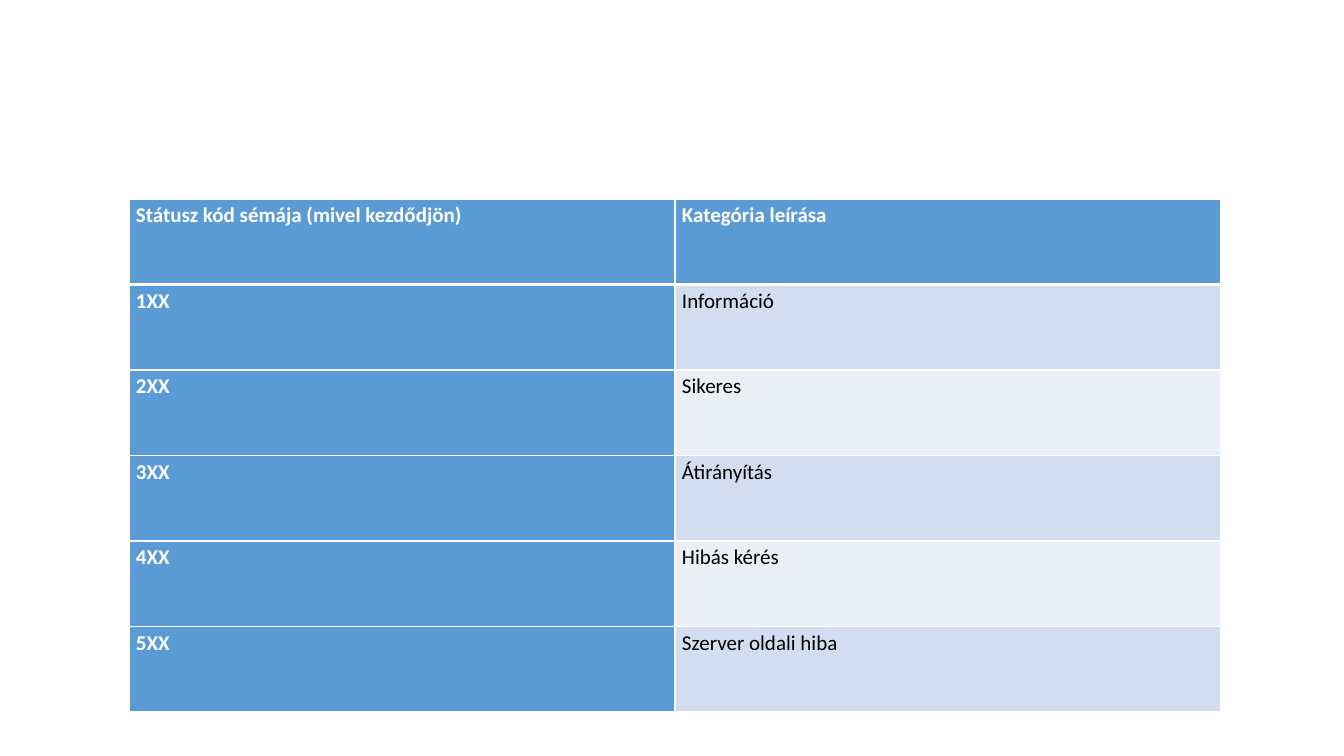
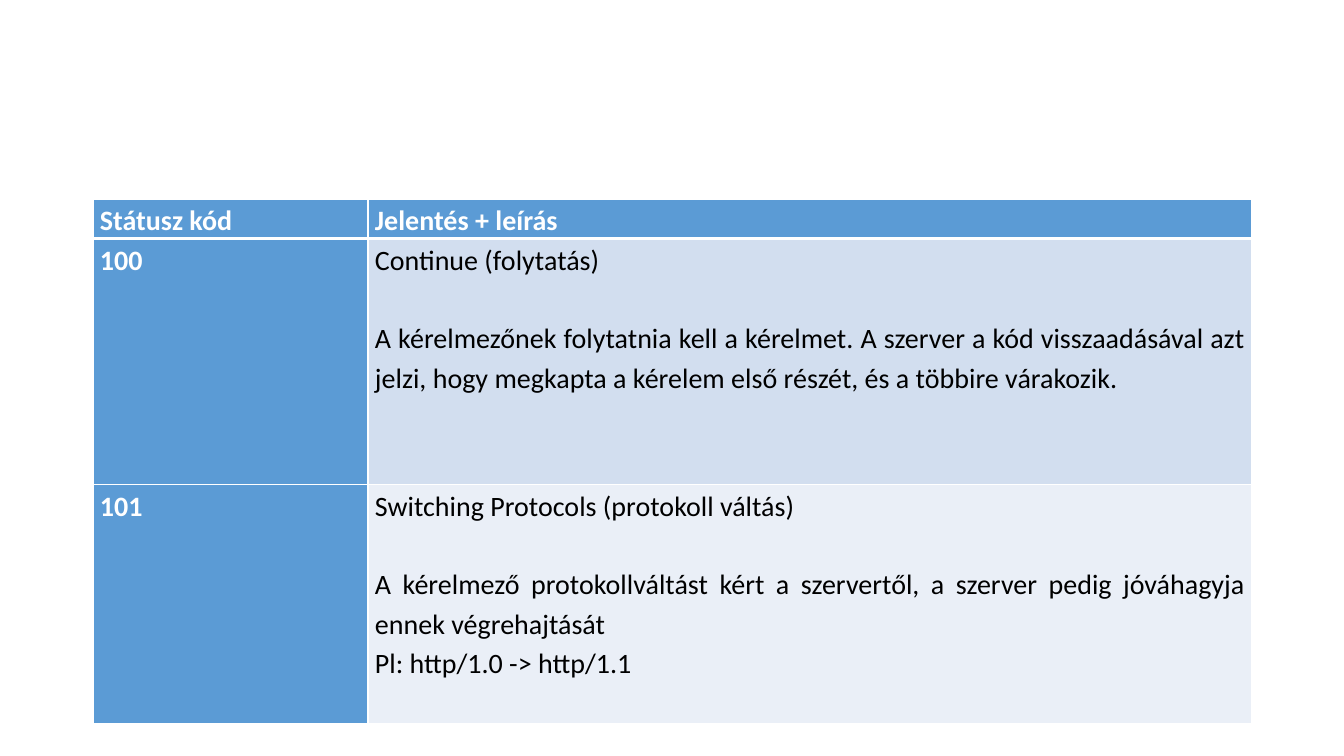
import pptx
import pptx.dml.color
import pptx.enum.text
import pptx.oxml
import pptx.oxml.ns
import pptx.util

PX = 914400 / 100.8
SLIDE_WIDTH, SLIDE_HEIGHT = 1344, 756
FONT = "Calibri"
COLORS = {
    "accent": "5B9BD5",
    "band_dark": "D2DEEF",
    "band_light": "EAEFF7",
    "on_accent": "FFFFFF",
    "body": "000000",
    "rule": "FFFFFF",
}


def px(length):
    return pptx.util.Emu(round(length * PX))


def rgb(name):
    return pptx.dml.color.RGBColor.from_string(COLORS[name])


def write_text(frame, text, size, color, bold=False, heading_gap=0):
    frame.word_wrap = True
    for index, line in enumerate(text.split("\n")):
        paragraph = frame.paragraphs[0] if index == 0 else frame.add_paragraph()
        paragraph.alignment = pptx.enum.text.PP_ALIGN.JUSTIFY
        paragraph.line_spacing = 1.15
        paragraph.space_after = pptx.util.Pt(heading_gap if index == 0 else 0)
        run = paragraph.add_run()
        run.text = line
        run.font.name = FONT
        run.font.size = pptx.util.Pt(size)
        run.font.bold = bold
        run.font.color.rgb = rgb(color)


def set_borders(cell, **widths):
    properties = cell._tc.get_or_add_tcPr()
    for side in "LRTB":
        width = pptx.util.Pt(widths.get(side, 1))
        properties.append(pptx.oxml.parse_xml(
            f'<a:ln{side} {pptx.oxml.ns.nsdecls("a")} w="{width}"><a:solidFill>'
            f'<a:srgbClr val="{COLORS["rule"]}"/></a:solidFill></a:ln{side}>'
        ))


def format_cell(cell, row, column, text, size, heading_gap):
    emphasized = row == 0 or column == 0
    cell.margin_left = cell.margin_right = px(7)
    cell.margin_top = cell.margin_bottom = 0
    set_borders(cell, B=3 if row == 0 else 1, T=3 if row == 1 else 1)
    cell.fill.solid()
    band = "band_dark" if row % 2 else "band_light"
    cell.fill.fore_color.rgb = rgb("accent" if emphasized else band)
    write_text(
        cell.text_frame, text, size,
        color="on_accent" if emphasized else "body",
        bold=emphasized,
        heading_gap=heading_gap if "\n" in text else 0,
    )


def status_table(presentation, left, top, widths, heights, entries, size, heading_gap=0):
    slide = presentation.slides.add_slide(presentation.slide_layouts[6])
    table = slide.shapes.add_table(
        len(heights), len(widths),
        px(left), px(top), px(sum(widths)), px(sum(heights)),
    ).table
    for column, width in zip(table.columns, widths):
        column.width = px(width)
    for row, height in zip(table.rows, heights):
        row.height = px(height)
    for row, entry in enumerate(entries):
        for column, text in enumerate(entry):
            format_cell(table.cell(row, column), row, column, text, size, heading_gap)


CATEGORIES = [
    ("Státusz kód sémája (mivel kezdődjön)", "Kategória leírása"),
    ("1XX", "Információ"),
    ("2XX", "Sikeres"),
    ("3XX", "Átirányítás"),
    ("4XX", "Hibás kérés"),
    ("5XX", "Szerver oldali hiba"),
]
INFORMATION_CODES = [
    ("Státusz kód", "Jelentés + leírás"),
    ("100", "Continue (folytatás)\n"
            "A kérelmezőnek folytatnia kell a kérelmet. A szerver a kód visszaadásával azt "
            "jelzi, hogy megkapta a kérelem első részét, és a többire várakozik."),
    ("101", "Switching Protocols (protokoll váltás)\n"
            "A kérelmező protokollváltást kért a szervertől, a szerver pedig jóváhagyja "
            "ennek végrehajtását\n"
            "Pl: http/1.0 -> http/1.1"),
]

presentation = pptx.Presentation()
presentation.slide_width = px(SLIDE_WIDTH)
presentation.slide_height = px(SLIDE_HEIGHT)
status_table(
    presentation, 129, 199, [546] * 2, [513 / len(CATEGORIES)] * len(CATEGORIES),
    CATEGORIES, size=15,
)
status_table(
    presentation, 93, 199, [275, 884], [39, 246, 239],
    INFORMATION_CODES, size=20, heading_gap=28,
)
presentation.save("out.pptx")
